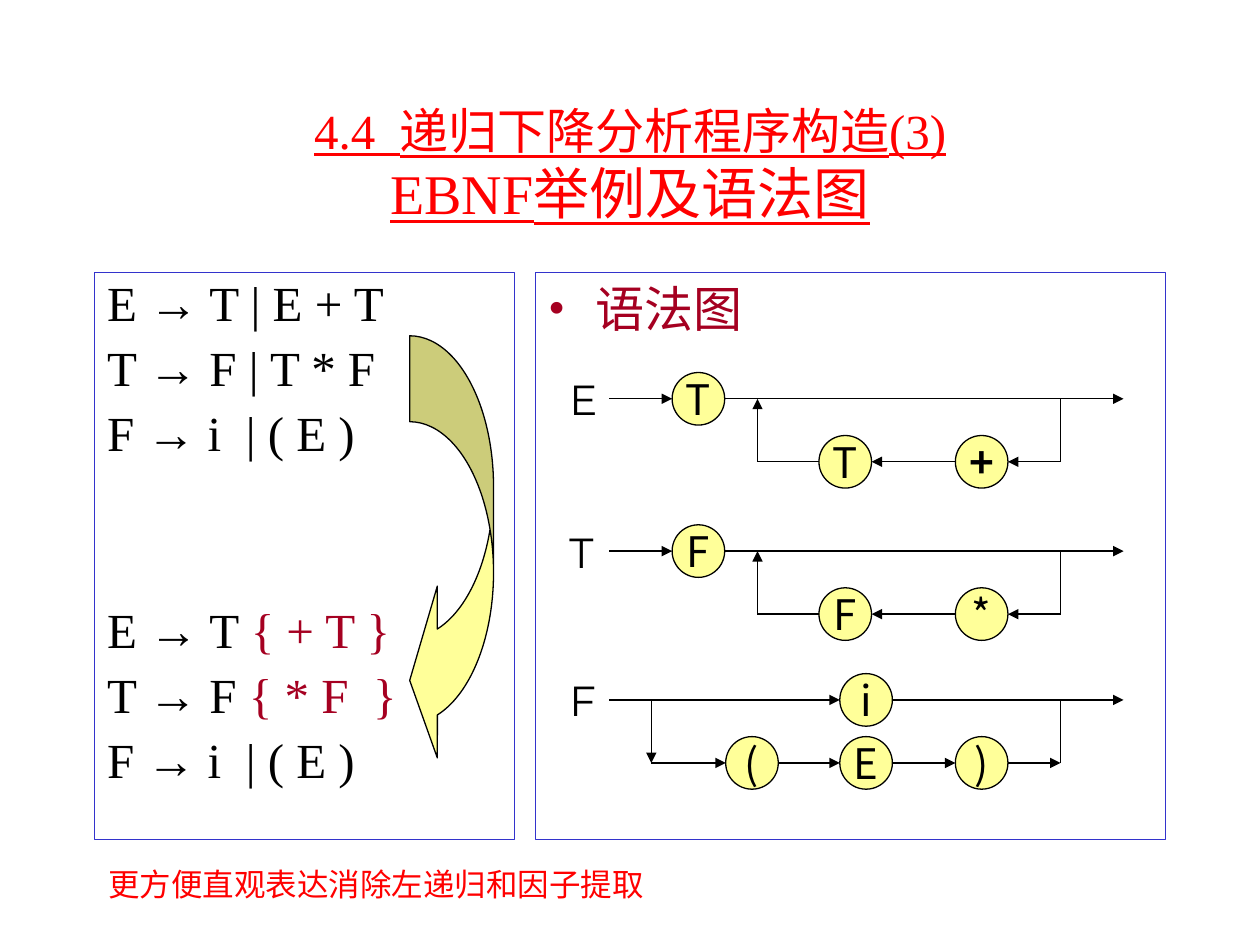
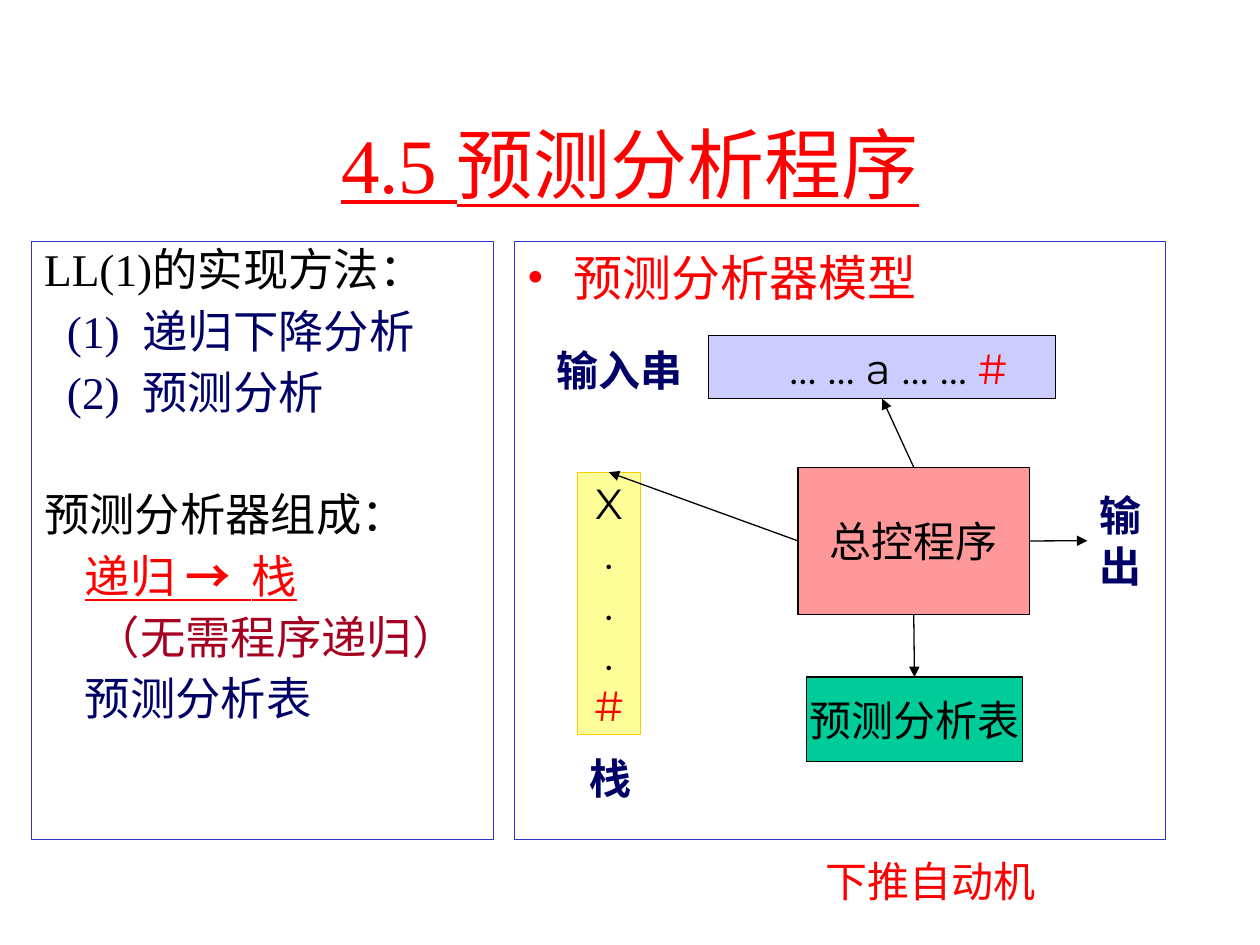
from lxml.etree import SubElement
from pptx import Presentation
from pptx.dml.color import RGBColor
from pptx.enum.shapes import MSO_CONNECTOR, MSO_SHAPE
from pptx.enum.text import MSO_ANCHOR, PP_ALIGN
from pptx.oxml.ns import qn
from pptx.util import Cm, Pt

RED = RGBColor(0xFF, 0x00, 0x00)
CRIMSON = RGBColor(0xA5, 0x00, 0x21)
NAVY = RGBColor(0x00, 0x00, 0x66)
BLACK = RGBColor(0x00, 0x00, 0x00)
PANEL_BLUE = RGBColor(0x33, 0x33, 0xCC)
YELLOW = RGBColor(0xFF, 0xFF, 0x99)
GOLD = RGBColor(0xFF, 0xCC, 0x00)
PINK = RGBColor(0xFF, 0x99, 0x99)
GREEN = RGBColor(0x00, 0xCC, 0x99)
LAVENDER = RGBColor(0xCC, 0xCC, 0xFF)

SERIF, SANS, CHINESE = "Times New Roman", "Montserrat", "Noto Sans CJK SC"
LINE_WIDTH = Pt(0.75)
NODE_SIZE = 1.06
BRANCH_DROP = 1.27
HANGING = 0.95


# ---- Text ----
def write(paragraph, content, size, color=BLACK, font=SANS, bold=None, underline=None):
    """Fill a paragraph; content is a string or a list of (text, color) runs."""
    runs = [(content, color)] if isinstance(content, str) else content
    colors = {run_color for _, run_color in runs}
    for text, run_color in runs:
        run = paragraph.add_run()
        run.text = text
        if len(colors) > 1:
            run.font.color.rgb = run_color
    paragraph.font.name = font
    paragraph.font.size = Pt(size)
    paragraph.font.bold = bold
    paragraph.font.underline = underline
    if len(colors) == 1:
        paragraph.font.color.rgb = colors.pop()
    properties = paragraph._p.get_or_add_pPr().find(qn("a:defRPr"))
    SubElement(properties, qn("a:ea")).set("typeface", CHINESE)


def paragraphs_of(frame, count):
    return [frame.paragraphs[0]] + [frame.add_paragraph() for _ in range(count - 1)]


def add_label(slide, left, top, width, text, size=24, color=BLACK, bold=None):
    label = slide.shapes.add_textbox(Cm(left), Cm(top), Cm(width), Cm(1.27))
    label.text_frame.word_wrap = True
    write(label.text_frame.paragraphs[0], text, size, color, bold=bold)


def add_title(slide, lines):
    title = slide.shapes.add_textbox(Cm(1.91), Cm(1.7), Cm(21.59), Cm(3.18))
    frame = title.text_frame
    frame.word_wrap = True
    frame.vertical_anchor = MSO_ANCHOR.MIDDLE
    for paragraph, (text, size) in zip(paragraphs_of(frame, len(lines)), lines):
        paragraph.alignment = PP_ALIGN.CENTER
        write(paragraph, text, size, RED, SERIF, underline=True)


# ---- Shapes and lines ----
def add_figure(slide, kind, left, top, width, height, fill=None, line=BLACK):
    shape = slide.shapes.add_shape(kind, Cm(left), Cm(top), Cm(width), Cm(height))
    shape.shadow.inherit = False
    if fill is None:
        shape.fill.background()
    else:
        shape.fill.solid()
        shape.fill.fore_color.rgb = fill
    shape.line.color.rgb = line
    shape.line.width = LINE_WIDTH
    return shape


def add_block(slide, kind, left, top, width, height, fill, lines, line=BLACK,
              font=SANS, bold=None):
    """A filled shape with centred lines of text."""
    block = add_figure(slide, kind, left, top, width, height, fill, line)
    frame = block.text_frame
    frame.word_wrap = False
    frame.vertical_anchor = MSO_ANCHOR.MIDDLE
    for paragraph, content in zip(paragraphs_of(frame, len(lines)), lines):
        paragraph.alignment = PP_ALIGN.CENTER
        write(paragraph, content, 24, font=font, bold=bold)
    return block


def add_line(slide, start=(0, 0), end=(0, 0), arrow=True):
    connector = slide.shapes.add_connector(
        MSO_CONNECTOR.STRAIGHT, *(Cm(value) for value in (*start, *end)))
    connector.line.color.rgb = BLACK
    connector.line.width = LINE_WIDTH
    if arrow:
        SubElement(connector.line._get_or_add_ln(), qn("a:tailEnd")).set("type", "triangle")
    SubElement(connector._element.spPr, qn("a:effectLst"))
    return connector


def add_panel(slide, box):
    panel = add_figure(slide, MSO_SHAPE.RECTANGLE, *box, line=PANEL_BLUE)
    frame = panel.text_frame
    frame.word_wrap = True
    frame.vertical_anchor = MSO_ANCHOR.TOP
    return frame


def add_text_panel(slide, box, size, lines):
    """Lines are (content, color, indent in cm, space before in pt, underline)."""
    frame = add_panel(slide, box)
    for paragraph, line in zip(paragraphs_of(frame, len(lines)), lines):
        content, color, indent, space, underline = line
        paragraph.alignment = PP_ALIGN.LEFT
        paragraph.line_spacing = 0.9
        paragraph.space_before = Pt(space)
        paragraph._p.get_or_add_pPr().set("marL", str(Cm(indent)))
        write(paragraph, content, size, color, SERIF, underline=underline)
    return frame


def add_bullet_panel(slide, box, heading, color):
    paragraph = add_panel(slide, box).paragraphs[0]
    paragraph.alignment = PP_ALIGN.LEFT
    properties = paragraph._p.get_or_add_pPr()
    properties.set("marL", str(Cm(HANGING)))
    properties.set("indent", str(-Cm(HANGING)))
    bullet_color = SubElement(properties, qn("a:buClr"))
    SubElement(bullet_color, qn("a:srgbClr")).set("val", str(color))
    SubElement(properties, qn("a:buFont")).set("typeface", SERIF)
    SubElement(properties, qn("a:buChar")).set("char", "•")
    write(paragraph, heading, 28, color, SERIF)


# ---- Syntax diagrams ----
def add_node(slide, center_x, center_y, symbol):
    add_block(slide, MSO_SHAPE.OVAL, center_x - NODE_SIZE / 2, center_y - NODE_SIZE / 2,
              NODE_SIZE, NODE_SIZE, YELLOW, [symbol], font=CHINESE,
              bold=True if symbol == "+" else None)


def add_track(slide, points, nodes, last_arrow=True):
    """Draw arrows along (start x, y, end x), with a node on each inner stop."""
    start, y, end = points
    direction = 1 if end > start else -1
    reach = direction * NODE_SIZE / 2
    for center, symbol in nodes:
        add_line(slide, (start, y), (center - reach, y))
        add_node(slide, center, y, symbol)
        start = center + reach
    add_line(slide, (start, y), (end, y), last_arrow)


def add_rule_label(slide, left, y, name):
    add_label(slide, left + 0.43, y - 0.63, 1.06, name)


def add_loop_rule(slide, left, y, name, operand, operator):
    """A rule whose tail repeats through a loop below the main line."""
    loop_left, loop_right, low = left + 4.47, left + 10.58, y + BRANCH_DROP
    add_rule_label(slide, left, y, name)
    add_track(slide, (left + 1.48, y, left + 11.85), [(left + 3.28, operand)])
    add_line(slide, (loop_right, y), (loop_right, low), arrow=False)
    add_track(slide, (loop_right, low, loop_left),
              [(left + 8.99, operator), (left + 6.24, operand)], last_arrow=False)
    add_line(slide, (loop_left, low), (loop_left, y))


def add_choice_rule(slide, left, y, name):
    """A rule with an alternative path below the main line."""
    branch_left, branch_right, low = left + 2.33, left + 10.58, y + BRANCH_DROP
    add_rule_label(slide, left, y, name)
    add_track(slide, (left + 1.48, y, left + 11.85), [(left + 6.66, "i")])
    add_line(slide, (branch_left, y), (branch_left, low))
    add_track(slide, (branch_left, low, branch_right),
              [(left + 4.36, "("), (left + 6.66, "E"), (left + 8.99, ")")])
    add_line(slide, (branch_right, y), (branch_right, low), arrow=False)


def add_syntax_diagrams(slide, box):
    left, top = box[:2]
    add_bullet_panel(slide, box, "语法图", CRIMSON)
    add_loop_rule(slide, left, top + 2.54, "E", "T", "+")
    add_loop_rule(slide, left, top + 5.61, "T", "F", "*")
    add_choice_rule(slide, left, top + 8.61, "F")


def add_grammar(slide, box):
    left, top = box[:2]
    lines = [
        ("E → T | E + T", 0),
        ("T → F | T * F", 7),
        ("F → i  | ( E )", 7),
        ([("E → T ", BLACK), ("{ + T }", CRIMSON)], 82),
        ([("T → F ", BLACK), ("{ * F  }", CRIMSON)], 7),
        ("F → i  | ( E )", 7),
    ]
    add_text_panel(slide, box, 28,
                   [(content, BLACK, 0, space, None) for content, space in lines])
    # Arrow from the first grammar to the rewritten one
    arrow = add_figure(slide, MSO_SHAPE.CURVED_LEFT_ARROW, left + 6.35, top + 1.27,
                       1.69, 8.68, YELLOW)
    for index, value in enumerate((1.025, 2.05, 0.33)):
        arrow.adjustments[index] = value


# ---- Predictive parser ----
def add_methods(slide, box):
    frame = add_text_panel(slide, box, 25.9, [
        ("LL(1)的实现方法：", BLACK, 0, 0, None),
        ("(1)  递归下降分析", NAVY, 0.46, 7, None),
        ("(2)  预测分析", NAVY, 0.46, 7, None),
        ("预测分析器组成：", BLACK, 0, 42, None),
        ([("递归 ", RED), ("→  ", RED), ("栈", RED)], RED, 0.82, 7, True),
        ("（无需程序递归）", CRIMSON, 1.02, 7, None),
        ("预测分析表", NAVY, 0.82, 7, None),
    ])
    frame.paragraphs[4].runs[1].font.bold = True


def add_parser_model(slide, box):
    left, top = box[:2]
    add_bullet_panel(slide, box, "预测分析器模型", RED)

    def block(x, y, width, height, fill, lines, line=BLACK):
        return add_block(slide, MSO_SHAPE.RECTANGLE, left + x, top + y,
                         width, height, fill, lines, line)

    # Components
    control = block(5.72, 4.55, 4.66, 2.97, PINK, ["总控程序"])
    table = block(5.89, 8.78, 4.35, 1.7, GREEN, ["预测分析表"])
    tape = block(3.92, 1.9, 6.99, 1.27, LAVENDER, [[("… … a … … ", BLACK), ("#", RED)]])
    tape.text_frame.word_wrap = True
    tape.text_frame.margin_left = Cm(0.9)
    stack = block(1.27, 4.65, 1.27, 5.29, YELLOW,
                  ["X", ".", ".", ".", [("#", RED)]], GOLD)

    # Arrows from the control program
    for side, target, target_side in ((0, tape, 2), (1, stack, 0), (2, table, 0)):
        arrow = add_line(slide)
        arrow.begin_connect(control, side)
        arrow.end_connect(target, target_side)
    output = add_line(slide, end=(left + 11.55, top + 6.03))
    output.begin_connect(control, 3)

    # Labels
    for x, y, width, text in ((1.27, 10.17, 1.27, "栈"), (0.6, 1.96, 3.07, "输入串"),
                              (11.55, 4.88, 0.94, "输出")):
        add_label(slide, left + x, top + y, width, text, color=NAVY, bold=True)


def build_ebnf_slide(slide):
    add_title(slide, [("4.4  递归下降分析程序构造(3)", 28), ("EBNF举例及语法图", 32)])
    add_grammar(slide, (1.91, 5.5, 8.47, 11.43))
    add_syntax_diagrams(slide, (10.8, 5.5, 12.7, 11.43))
    add_label(slide, 1.93, 17.32, 12.7, "更方便直观表达消除左递归和因子提取", 18, RED)


def build_parser_slide(slide):
    add_title(slide, [("4.5 预测分析程序", 44)])
    add_methods(slide, (0.64, 4.87, 9.31, 12.06))
    add_parser_model(slide, (10.37, 4.87, 13.12, 12.06))
    add_label(slide, 16.4, 17.12, 5.5, "下推自动机", color=RED)


def main():
    presentation = Presentation()
    presentation.slide_width, presentation.slide_height = Cm(25.4), Cm(19.05)
    for build in (build_ebnf_slide, build_parser_slide):
        build(presentation.slides.add_slide(presentation.slide_layouts[6]))
    presentation.save("out.pptx")


if __name__ == "__main__":
    main()
